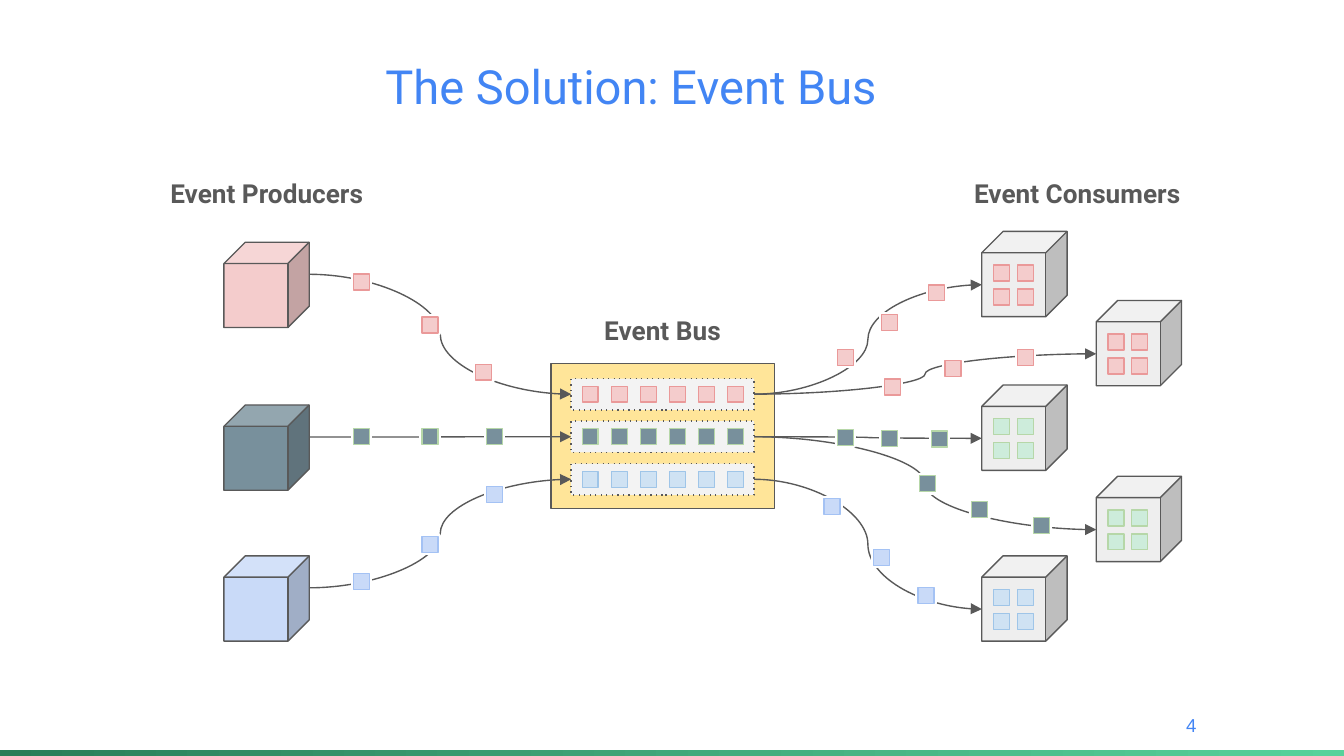
from dataclasses import dataclass
from itertools import product

from lxml.etree import SubElement
from pptx import Presentation
from pptx.dml.color import RGBColor
from pptx.enum.shapes import MSO_CONNECTOR, MSO_SHAPE
from pptx.enum.text import MSO_ANCHOR, PP_ALIGN
from pptx.oxml.ns import qn
from pptx.util import Pt


@dataclass(frozen=True)
class Theme:
    """Colours, fonts and sizes in points."""

    ink: str = "595959"
    accent: str = "4285F4"
    bus: str = "FFE599"
    lane: str = "F3F3F3"
    consumer: str = "EEEEEE"
    halo: str = "FFFFFF"
    bar_light: str = "57D29B"
    bar_dark: str = "297D58"
    red: tuple = ("F4CCCC", "EA9999")
    slate: tuple = ("78909C", "B6D7A8")
    mint: tuple = ("CDECDB", "B6D7A8")
    sky: tuple = ("CFE2F3", "9FC5E8")
    blue: tuple = ("C9DAF8", "A4C2F4")
    font: str = "Roboto"
    number_font: str = "Arial"
    title_size: float = 25.2
    label_size: float = 14
    number_size: float = 10
    line_width: float = 0.75
    halo_width: float = 3


THEME = Theme()
CUBE = 45.7
TOKEN = 8.6
LANE_LEFT, LANE_WIDTH, LANE_HEIGHT = 306, 97.9, 16.8
LANE_CENTERS = [211.2 + 22.8 * lane for lane in range(3)]
TOP_LANE, MIDDLE_LANE, BOTTOM_LANE = LANE_CENTERS
LANE_PALETTES = (THEME.red, THEME.slate, THEME.sky)
PRODUCER_LEFT = 120

PRODUCERS = [
    (129.8, TOP_LANE, THEME.red, [(189.4, 146.9), (226.1, 169.9), (254.9, 195.1)]),
    (217, MIDDLE_LANE, THEME.slate, [(189.4, 229.7), (226.1, 229.7), (260.6, 229.7)]),
    (297.8, BOTTOM_LANE, THEME.blue, [(189.4, 307.4), (226.1, 287.3), (260.6, 260.6)]),
]
CONSUMERS = [
    (526, 124, TOP_LANE, THEME.red, THEME.red, [(448.6, 187.2), (472.3, 168.5), (497.5, 152.6)]),
    (587.3, 161, TOP_LANE, THEME.red, THEME.red, [(473.8, 203), (506.2, 193), (545, 187.2)]),
    (526, 206.3, MIDDLE_LANE, THEME.slate, THEME.mint, [(448.6, 230), (472.3, 230.6), (499, 231)]),
    (587.3, 255.2, MIDDLE_LANE, THEME.slate, THEME.mint, [(492.5, 254.9), (520.6, 268.6), (553.7, 277.2)]),
    (526, 297.8, BOTTOM_LANE, THEME.blue, THEME.sky, [(441.4, 267.1), (468, 294.5), (491.8, 314.6)]),
]


def apply_format(target, values):
    """Set each attribute named in a dict of format values."""
    for name, value in values.items():
        setattr(target, name, value)


def add_block(page, kind, frame, fill, line, width=THEME.line_width):
    """Add a filled and outlined preset shape."""
    block = page.shapes.add_shape(kind, *map(Pt, frame))
    block.shadow.inherit = False
    block.fill.solid()
    block.fill.fore_color.rgb = RGBColor.from_string(fill)
    block.line.color.rgb = RGBColor.from_string(line)
    block.line.width = Pt(width)
    return block


def add_cube(page, left, top, fill):
    """Add a producer or consumer cube."""
    add_block(page, MSO_SHAPE.CUBE, (left, top, CUBE, CUBE), fill, THEME.ink)


def add_token(page, left, top, palette, width=THEME.line_width):
    """Add one small event square."""
    add_block(page, MSO_SHAPE.RECTANGLE, (left, top, TOKEN, TOKEN), *palette, width)


def add_moving_tokens(page, places, palette):
    """Add event squares with a halo that interrupts the curve."""
    for left, top in places:
        add_token(page, left, top, (palette[0], THEME.halo), THEME.halo_width)
        add_token(page, left, top, palette)


def add_held_tokens(page, left, top, palette):
    """Add the two by two event squares on a consumer's face."""
    for row, column in product(range(2), repeat=2):
        add_token(page, left + 6.2 + 12.8 * column, top + 18 + 12.8 * row, palette)


def add_lane(page, center, palette):
    """Add a dotted bus lane with its six queued events."""
    frame = (LANE_LEFT, center - LANE_HEIGHT / 2, LANE_WIDTH, LANE_HEIGHT)
    lane = add_block(page, MSO_SHAPE.RECTANGLE, frame, THEME.lane, THEME.ink)
    SubElement(lane.line._get_or_add_ln(), qn("a:prstDash"), val="dot")
    for slot in range(6):
        add_token(page, LANE_LEFT + 5.9 + 15.55 * slot, center - TOKEN / 2, palette)


def add_flow(page, start, end):
    """Add a curved arrow between two points."""
    flow = page.shapes.add_connector(MSO_CONNECTOR.CURVE, *map(Pt, start + end))
    flow.line.color.rgb = RGBColor.from_string(THEME.ink)
    flow.line.width = Pt(THEME.line_width)
    SubElement(flow.line._get_or_add_ln(), qn("a:tailEnd"), type="triangle")
    SubElement(flow._element.spPr, qn("a:effectLst"))


def add_text(page, text, frame, size, color, align, **extra):
    """Add a one-line text box."""
    box = page.shapes.add_textbox(*map(Pt, frame))
    margins = {f"margin_{side}": Pt(7.2) for side in ("left", "top", "right", "bottom")}
    anchor = extra.pop("anchor", MSO_ANCHOR.TOP)
    apply_format(box.text_frame, margins | {"word_wrap": True, "vertical_anchor": anchor})
    para = box.text_frame.paragraphs[0]
    para.alignment = align
    span = para.add_run()
    span.text = text
    apply_format(span.font, {"name": THEME.font, "size": Pt(size)} | extra)
    span.font.color.rgb = RGBColor.from_string(color)


def add_label(page, text, left, top, width):
    """Add a bold centred heading for part of the diagram."""
    frame = (left, top, width, 31.7)
    add_text(page, text, frame, THEME.label_size, THEME.ink, PP_ALIGN.CENTER, bold=True)


def add_footer(page):
    """Add the gradient bar and the page number."""
    bar = page.shapes.add_shape(MSO_SHAPE.RECTANGLE, *map(Pt, (0, 401.8, 720, 4)))
    bar.shadow.inherit = False
    bar.line.fill.background()
    bar.fill.gradient()
    bar.fill.gradient_angle = 180
    for stop, color, position in zip(
        bar.fill.gradient_stops, (THEME.bar_light, THEME.bar_dark), (0, 1)
    ):
        stop.color.rgb = RGBColor.from_string(color)
        stop.position = position
    add_text(page, "4", (604.8, 373, 43.2, 31), THEME.number_size, THEME.accent,
             PP_ALIGN.RIGHT, name=THEME.number_font, anchor=MSO_ANCHOR.MIDDLE)


def main():
    """Build the event bus slide."""
    deck = Presentation()
    apply_format(deck, {"slide_width": Pt(720), "slide_height": Pt(405)})
    page = deck.slides.add_slide(deck.slide_layouts[6])
    add_footer(page)
    add_text(page, "The Solution: Event Bus", (199.4, 23.8, 321, 45.4),
             THEME.title_size, THEME.accent, PP_ALIGN.LEFT)
    add_block(page, MSO_SHAPE.RECTANGLE, (295.2, 194.8, 119.8, 77.6), THEME.bus, THEME.ink)
    add_label(page, "Event Bus", 310.3, 161.3, 89.3)
    add_label(page, "Event Producers", 76.3, 87.8, 133.2)
    add_label(page, "Event Consumers", 510.5, 87.8, 133.2)

    for top, lane, palette, _ in PRODUCERS:
        add_cube(page, PRODUCER_LEFT, top, palette[0])
        add_flow(page, (PRODUCER_LEFT + CUBE, top + CUBE * 0.375), (LANE_LEFT, lane))
    for left, top, lane, _, held, _ in CONSUMERS:
        add_cube(page, left, top, THEME.consumer)
        add_held_tokens(page, left, top, held)
        add_flow(page, (LANE_LEFT + LANE_WIDTH, lane), (left, top + CUBE * 0.625))
    for center, palette in zip(LANE_CENTERS, LANE_PALETTES):
        add_lane(page, center, palette)
    for *_, palette, places in PRODUCERS:
        add_moving_tokens(page, places, palette)
    for *_, palette, _, places in CONSUMERS:
        add_moving_tokens(page, places, palette)
    deck.save("out.pptx")


if __name__ == "__main__":
    main()
